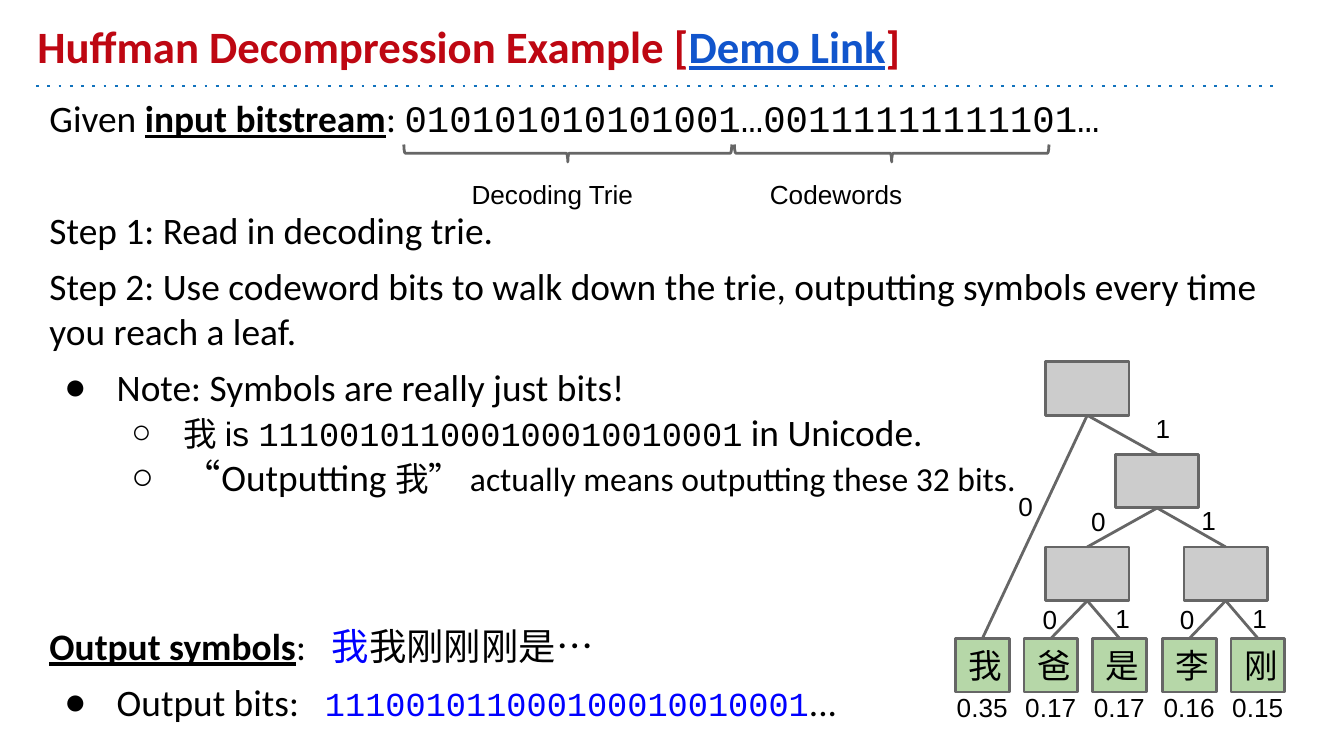
from dataclasses import dataclass

from lxml import etree
from pptx import Presentation, util as u
from pptx.dml.color import RGBColor
from pptx.enum import shapes, text
from pptx.oxml.ns import qn

PX = 9144


@dataclass(frozen=True)
class Theme:
    title: str = "BE0712"
    link: str = "1155CC"
    rule: str = "1072BD"
    ink: str = "000000"
    bits: str = "0000FF"
    edge: str = "666666"
    node: str = "CCCCCC"
    leaf: str = "B6D7A8"
    body_font: str = "Calibri"
    label_font: str = "Arial"
    code_font: str = "Courier New"
    title_size: int = 24
    body_size: int = 20
    small_size: int = 18
    label_size: int = 14
    line_width: float = 1.5


class Canvas:
    def __init__(self, slide, theme):
        self.slide = slide
        self.theme = theme

    def box(self, *lengths):
        return [u.Emu(length * PX) for length in lengths]

    def format_run(self, run, size=None, font=None, color=None, bold=False, underline=False):
        run.font.size = u.Pt(size or self.theme.body_size)
        run.font.name = font or self.theme.body_font
        run.font.color.rgb = RGBColor.from_string(color or self.theme.ink)
        run.font.bold = bold
        run.font.underline = underline

    def set_indent(self, paragraph, level, bullet, tab):
        properties = paragraph._p.get_or_add_pPr()
        if bullet:
            properties.set("marL", str(50 * PX * (level + 1)))
            properties.set("indent", str(-39 * PX))
            etree.SubElement(properties, qn("a:buFont"), typeface=self.theme.label_font)
            etree.SubElement(properties, qn("a:buChar"), char=bullet)
        if tab:
            tabs = etree.SubElement(properties, qn("a:tabLst"))
            etree.SubElement(tabs, qn("a:tab"), pos=str(tab * PX), algn="l")
        paragraph.level = level

    def fill_paragraph(self, paragraph, runs, before=0, level=0, bullet=None, tab=None):
        self.set_indent(paragraph, level, bullet, tab)
        paragraph.space_before = u.Pt(before)
        for words, style in runs:
            run = paragraph.add_run()
            run.text = words
            self.format_run(run, **style)

    def text_box(self, left, top, width, height, paragraphs, anchor=text.MSO_ANCHOR.TOP):
        shape = self.slide.shapes.add_textbox(*self.box(left, top, width, height))
        frame = shape.text_frame
        self.prepare_frame(frame, anchor)
        for index, (runs, layout) in enumerate(paragraphs):
            paragraph = frame.add_paragraph() if index else frame.paragraphs[0]
            self.fill_paragraph(paragraph, runs, **layout)

    def prepare_frame(self, frame, anchor):
        frame.word_wrap = True
        frame.vertical_anchor = anchor
        frame.margin_left = frame.margin_right = u.Inches(0.1)
        frame.margin_top = frame.margin_bottom = u.Inches(0.1)

    def label(self, left, top, width, height, words, anchor=text.MSO_ANCHOR.TOP):
        style = dict(size=self.theme.label_size, font=self.theme.label_font)
        self.text_box(left, top, width, height, [([(words, style)], {})], anchor)

    def outline(self, line, color):
        line.color.rgb = RGBColor.from_string(color)
        line.width = u.Pt(self.theme.line_width)

    def node(self, left, top, width, height, color, symbol=""):
        shape = self.slide.shapes.add_shape(
            shapes.MSO_SHAPE.RECTANGLE, *self.box(left, top, width, height))
        shape.shadow.inherit = False
        shape.fill.solid()
        shape.fill.fore_color.rgb = RGBColor.from_string(color)
        self.outline(shape.line, self.theme.edge)
        if symbol:
            self.prepare_frame(shape.text_frame, text.MSO_ANCHOR.MIDDLE)
            shape.text_frame.text = symbol
            paragraph = shape.text_frame.paragraphs[0]
            paragraph.alignment = text.PP_ALIGN.LEFT
            self.format_run(paragraph.runs[0], self.theme.small_size, self.theme.label_font)
        return shape

    def brace(self, center_x, center_y, span):
        shape = self.slide.shapes.add_shape(
            shapes.MSO_SHAPE.LEFT_BRACE,
            *self.box(center_x - 6, center_y - span // 2, 13, span))
        shape.rotation = 270
        shape.shadow.inherit = False
        shape.fill.background()
        self.outline(shape.line, self.theme.edge)

    def line(self, start_x, start_y, end_x, end_y, color):
        connector = self.slide.shapes.add_connector(
            shapes.MSO_CONNECTOR.STRAIGHT, *self.box(start_x, start_y, end_x, end_y))
        self.outline(connector.line, color)
        etree.SubElement(connector._element.spPr, qn("a:effectLst"))
        return connector

    def dotted_line(self, start_x, start_y, end_x, end_y, color):
        connector = self.line(start_x, start_y, end_x, end_y, color)
        outline = connector._element.spPr.find(qn("a:ln"))
        etree.SubElement(outline, qn("a:prstDash"), val="dot")

    def branch(self, parent, child):
        connector = self.line(0, 0, 0, 0, self.theme.edge)
        connector.begin_connect(parent, 2)
        connector.end_connect(child, 0)


def draw_text(canvas):
    theme = canvas.theme
    heading = dict(size=theme.title_size, color=theme.title, bold=True)
    link = dict(heading, color=theme.link, underline=True)
    strong = dict(bold=True, underline=True)
    code = dict(size=theme.small_size, font=theme.code_font)
    small = dict(size=theme.small_size)
    symbol_bits = "111001011000100010010001"

    canvas.dotted_line(27, 64, 950, 64, theme.rule)
    canvas.text_box(18, 10, 900, 54, [
        ([("Huffman Decompression Example [", heading), ("Demo Link", link), ("]", heading)], {}),
    ], text.MSO_ANCHOR.BOTTOM)
    canvas.text_box(27, 61, 923, 484, [
        ([("Given ", {}), ("input bitstream", strong), (": ", {}),
          ("010101010101001…00111111111101…", dict(font=theme.code_font))], {}),
        ([("Step 1: Read in decoding trie.", {})], dict(before=36)),
        ([("Step 2: Use codeword bits to walk down the trie, outputting symbols "
           "every time you reach a leaf.", {})], dict(before=6)),
        ([("Note: Symbols are really just bits!", {})], dict(before=6, bullet="●")),
        ([("我 is ", dict(code, font=theme.label_font)), (symbol_bits, code),
          (" in Unicode.", {})], dict(level=1, bullet="○")),
        ([("“Outputting ", {}), ("我” actually means outputting these 32 bits.", small)],
         dict(level=1, bullet="○")),
        ([("Output symbols", strong), (":\t", {}), ("我", dict(color=theme.bits)),
          ("我刚刚刚是", {}), ("…", dict(font=theme.code_font))], dict(before=66.5, tab=210)),
        ([("Output bits:\t", {}), (symbol_bits, dict(code, color=theme.bits)), ("...", {})],
         dict(before=6, bullet="●", tab=205)),
    ])
    canvas.brace(422, 114, 244)
    canvas.brace(663, 114, 234)
    canvas.label(341, 123, 178, 28, "Decoding Trie")
    canvas.label(563, 123, 197, 28, "Codewords")


def draw_trie(canvas):
    theme = canvas.theme
    nodes = {}
    leaves = [("我", "0.35"), ("爸", "0.17"), ("是", "0.17"), ("李", "0.16"), ("刚", "0.15")]
    for index, (symbol, weight) in enumerate(leaves):
        left = 711 + round(51.25 * index)
        nodes[symbol] = canvas.node(left, 475, 40, 40, theme.leaf, symbol)
        canvas.label(left - 9, 506, 62, 40, weight, text.MSO_ANCHOR.MIDDLE)

    inner = [("root", 778, 0), ("right", 830, 1), ("middle", 778, 2), ("last", 881, 2)]
    for name, left, depth in inner:
        nodes[name] = canvas.node(left, 269 + 69 * depth, 62, 40, theme.node)

    branches = [
        ("root", "我", "0", 748, 355), ("root", "right", "1", 850, 297),
        ("right", "middle", "0", 802, 366), ("right", "last", "1", 884, 365),
        ("middle", "爸", "0", 766, 439), ("middle", "是", "1", 820, 438),
        ("last", "李", "0", 868, 439), ("last", "刚", "1", 922, 438),
    ]
    for parent, child, bit, left, top in branches:
        canvas.branch(nodes[parent], nodes[child])
        canvas.label(left, top, 27, 32, bit)


def main():
    presentation = Presentation()
    presentation.slide_width = u.Emu(1000 * PX)
    presentation.slide_height = u.Emu(presentation.slide_width * 9 // 16)
    slide = presentation.slides.add_slide(presentation.slide_layouts[6])
    canvas = Canvas(slide, Theme())
    draw_text(canvas)
    draw_trie(canvas)
    presentation.save("out.pptx")


if __name__ == "__main__":
    main()
